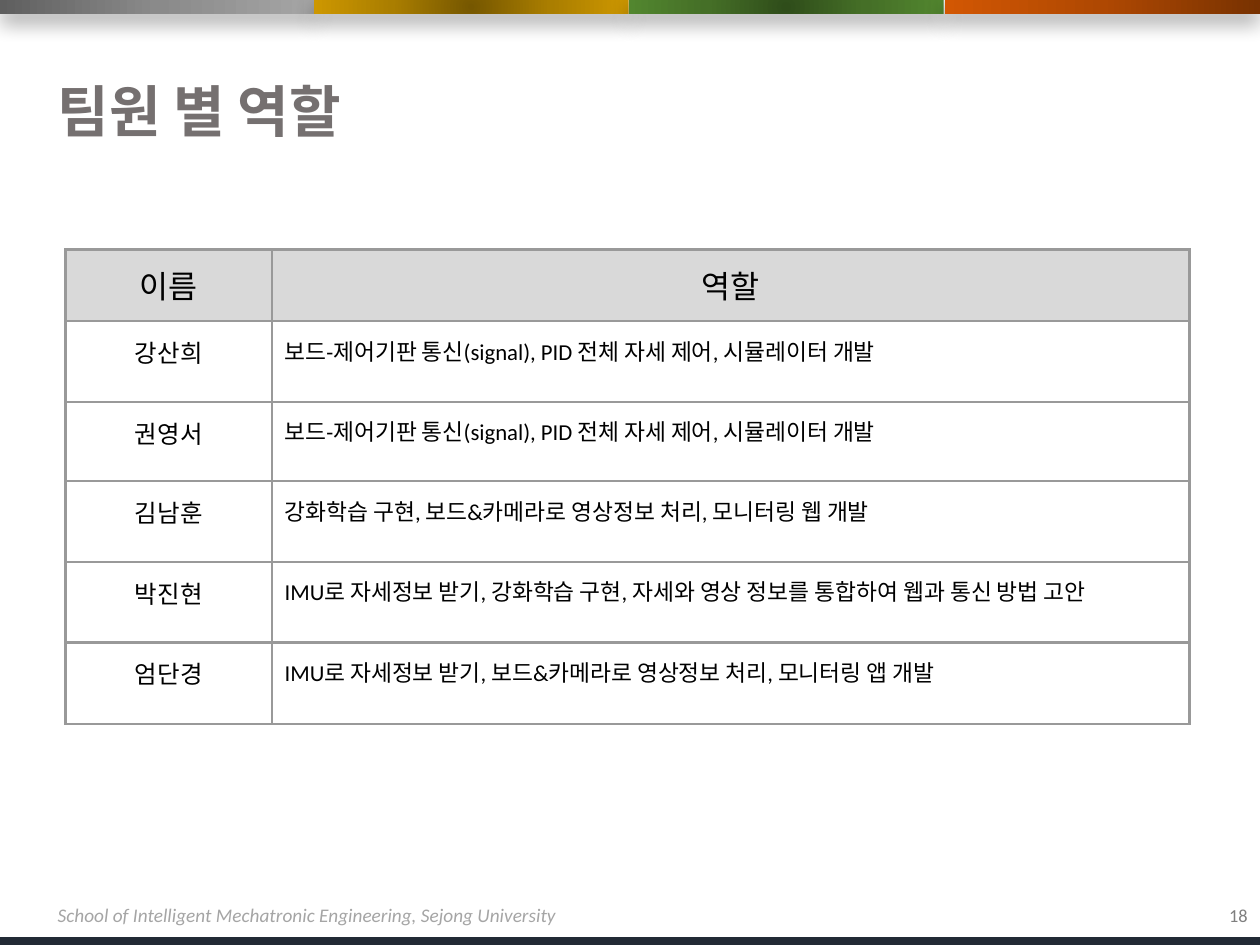
from dataclasses import dataclass

from lxml.etree import SubElement
from pptx import Presentation
from pptx.dml.color import RGBColor
from pptx.enum.shapes import MSO_CONNECTOR, MSO_SHAPE
from pptx.enum.text import MSO_ANCHOR, PP_ALIGN
from pptx.oxml import parse_xml
from pptx.oxml.ns import nsdecls, qn
from pptx.util import Inches, Pt


@dataclass(frozen=True)
class Theme:
    title: str = "757070"
    footer: str = "A5A5A5"
    number: str = "7F7F7F"
    body: str = "000000"
    header_fill: str = "D9D9D9"
    border: str = "999999"
    base_line: str = "222A35"
    shadow: str = "000000"
    font: str = "Calibri"
    name_font: str = "Arial"
    title_size: float = 32
    header_size: float = 18
    name_size: float = 14
    role_size: float = 13
    footer_size: float = 11
    number_size: float = 10.5


THEME = Theme()

# Left edge, colours, and gradient kind (an angle, or None for circular)
BANDS = [
    (0, ("5F5F5F", "8A8A8A", "A5A5A5"), 0),
    (2.49, ("765700", "AA7E00", "CD9700"), None),
    (4.99, ("2F4D1A", "456F27", "52862F"), None),
    (7.5, ("783201", "AF4802", "D25703"), 180),
]

HEADERS = ("이름", "역할")
ROLES = [
    ("강산희", "보드-제어기판 통신(signal), PID 전체 자세 제어, 시뮬레이터 개발"),
    ("권영서", "보드-제어기판 통신(signal), PID 전체 자세 제어, 시뮬레이터 개발"),
    ("김남훈", "강화학습 구현, 보드&카메라로 영상정보 처리, 모니터링 웹 개발"),
    ("박진현", "IMU로 자세정보 받기, 강화학습 구현, 자세와 영상 정보를 통합하여 웹과 통신 방법 고안"),
    ("엄단경", "IMU로 자세정보 받기, 보드&카메라로 영상정보 처리, 모니터링 앱 개발"),
]
COLUMN_WIDTHS = (1.64, 7.28)
ROW_HEIGHTS = (0.57, 0.64, 0.63, 0.64, 0.64, 0.65)


def write_text(frame, text, *, size, color, font=THEME.font, bold=False,
               italic=False, align=PP_ALIGN.LEFT, spacing=None):
    para = frame.paragraphs[0]
    para.alignment = align
    if spacing:
        para.line_spacing = spacing
    span = para.add_run()
    span.text = text
    span.font.name = font
    span.font.size = Pt(size)
    span.font.bold = bold
    span.font.italic = italic
    span.font.color.rgb = RGBColor.from_string(color)


def add_text(page, text, left, top, width, height, *,
             anchor=MSO_ANCHOR.TOP, **text_format):
    box = page.shapes.add_textbox(
        Inches(left), Inches(top), Inches(width), Inches(height))
    box.text_frame.word_wrap = True
    box.text_frame.vertical_anchor = anchor
    write_text(box.text_frame, text, **text_format)


def gradient_fill(colors, angle):
    stops = "".join(
        f'<a:gs pos="{index * 50000}"><a:srgbClr val="{color}"/></a:gs>'
        for index, color in enumerate(colors))
    if angle is None:
        direction = ('<a:path path="circle"><a:fillToRect l="50000" t="50000" '
                     'r="50000" b="50000"/></a:path>')
    else:
        direction = f'<a:lin ang="{angle * 60000}" scaled="0"/>'
    return parse_xml(f'<a:gradFill {nsdecls("a")} rotWithShape="1">'
                     f'<a:gsLst>{stops}</a:gsLst>{direction}</a:gradFill>')


def add_band(page, left, colors, angle):
    band = page.shapes.add_shape(
        MSO_SHAPE.RECTANGLE, Inches(left), 0, Inches(2.5), Inches(0.11))
    band.line.fill.background()
    band.shadow.inherit = False
    properties = band.element.spPr
    properties.find(qn("a:prstGeom")).addnext(gradient_fill(colors, angle))
    # Soft shadow straight below the band
    shadow = SubElement(
        properties.find(qn("a:effectLst")), qn("a:outerShdw"),
        blurRad=str(Pt(12)), dist=str(Pt(5)), dir="5400000",
        algn="t", rotWithShape="0")
    color = SubElement(shadow, qn("a:srgbClr"), val=THEME.shadow)
    SubElement(color, qn("a:alpha"), val="40000")


def add_base_line(page):
    line = page.shapes.add_connector(
        MSO_CONNECTOR.STRAIGHT, 0, Inches(7.47), Inches(10), Inches(7.47))
    line.line.color.rgb = RGBColor.from_string(THEME.base_line)
    line.line.width = Pt(5)
    SubElement(line.element.spPr, qn("a:effectLst"))


def format_cell(cell, fill=None):
    cell.margin_left = cell.margin_right = Inches(0.1)
    cell.margin_top = cell.margin_bottom = Inches(0.1)
    if fill:
        cell.fill.solid()
        cell.fill.fore_color.rgb = RGBColor.from_string(fill)
    else:
        cell.fill.background()
    properties = cell._tc.get_or_add_tcPr()
    for index, side in enumerate(("lnL", "lnR", "lnT", "lnB")):
        properties.insert(index, parse_xml(
            f'<a:{side} {nsdecls("a")} w="{Pt(1.5)}"><a:solidFill>'
            f'<a:srgbClr val="{THEME.border}"/></a:solidFill></a:{side}>'))


def add_role_table(page):
    table = page.shapes.add_table(
        len(ROW_HEIGHTS), len(COLUMN_WIDTHS), Inches(0.52), Inches(1.98),
        Inches(sum(COLUMN_WIDTHS)), Inches(sum(ROW_HEIGHTS))).table
    table.horz_banding = False
    for column, width in zip(table.columns, COLUMN_WIDTHS):
        column.width = Inches(width)
    for row, height in zip(table.rows, ROW_HEIGHTS):
        row.height = Inches(height)

    header = dict(size=THEME.header_size, font=THEME.name_font,
                  align=PP_ALIGN.CENTER)
    name = dict(header, size=THEME.name_size)
    role = dict(size=THEME.role_size)
    for row, texts in enumerate([HEADERS, *ROLES]):
        formats = (name, role) if row else (header, header)
        for column, (text, text_format) in enumerate(zip(texts, formats)):
            cell = table.cell(row, column)
            format_cell(cell, None if row else THEME.header_fill)
            write_text(cell.text_frame, text, color=THEME.body, **text_format)


def main():
    deck = Presentation()
    deck.slide_width, deck.slide_height = Inches(10), Inches(7.5)
    page = deck.slides.add_slide(deck.slide_layouts[6])

    # Frame of the page
    add_base_line(page)
    for left, colors, angle in BANDS:
        add_band(page, left, colors, angle)
    add_text(page, "School of Intelligent Mechatronic Engineering, Sejong University",
             0.36, 7.12, 4.33, 0.29, size=THEME.footer_size,
             color=THEME.footer, italic=True)

    # Title and page number
    add_text(page, "팀원 별 역할", 0.36, 0.02, 9.27, 1.18,
             anchor=MSO_ANCHOR.BOTTOM, size=THEME.title_size,
             color=THEME.title, bold=True, spacing=0.9)
    add_text(page, "18", 9.06, 7.06, 0.94, 0.4, anchor=MSO_ANCHOR.MIDDLE,
             size=THEME.number_size, color=THEME.number, align=PP_ALIGN.RIGHT)

    # Members and their roles
    add_role_table(page)
    deck.save("out.pptx")


if __name__ == "__main__":
    main()
